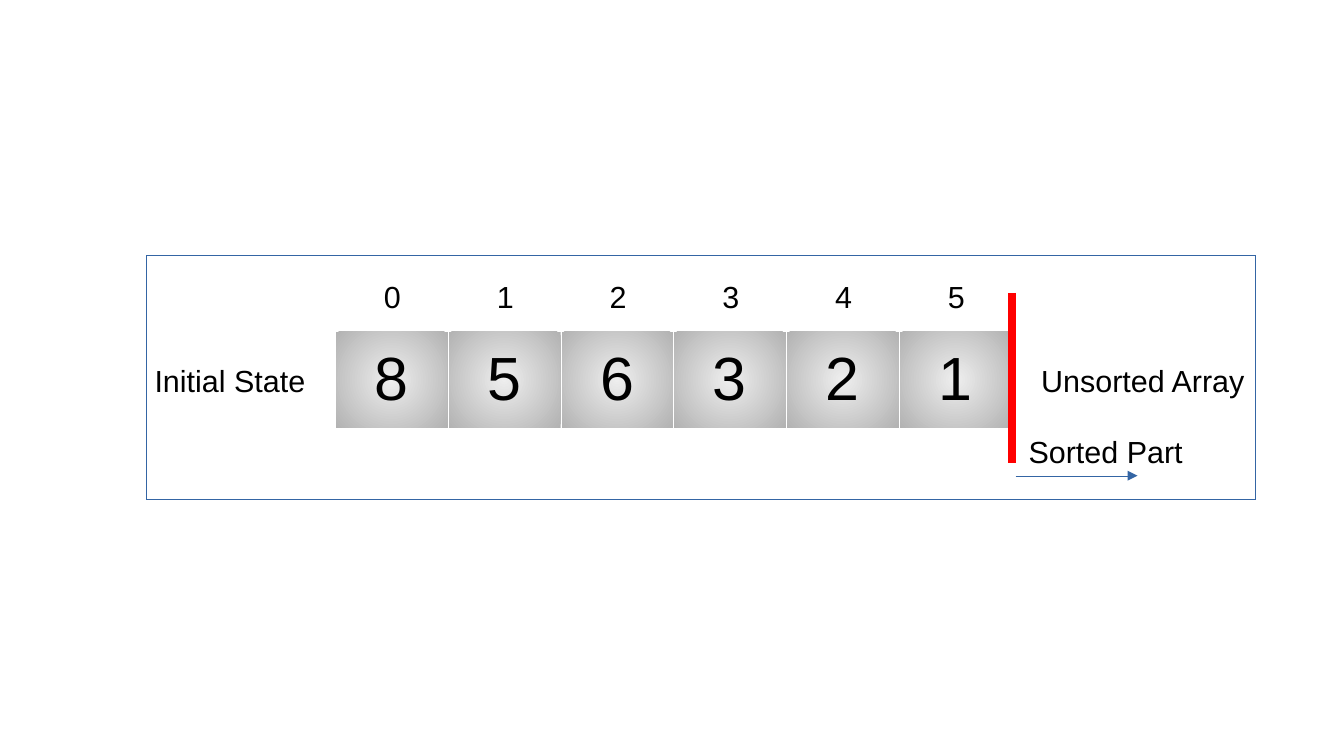
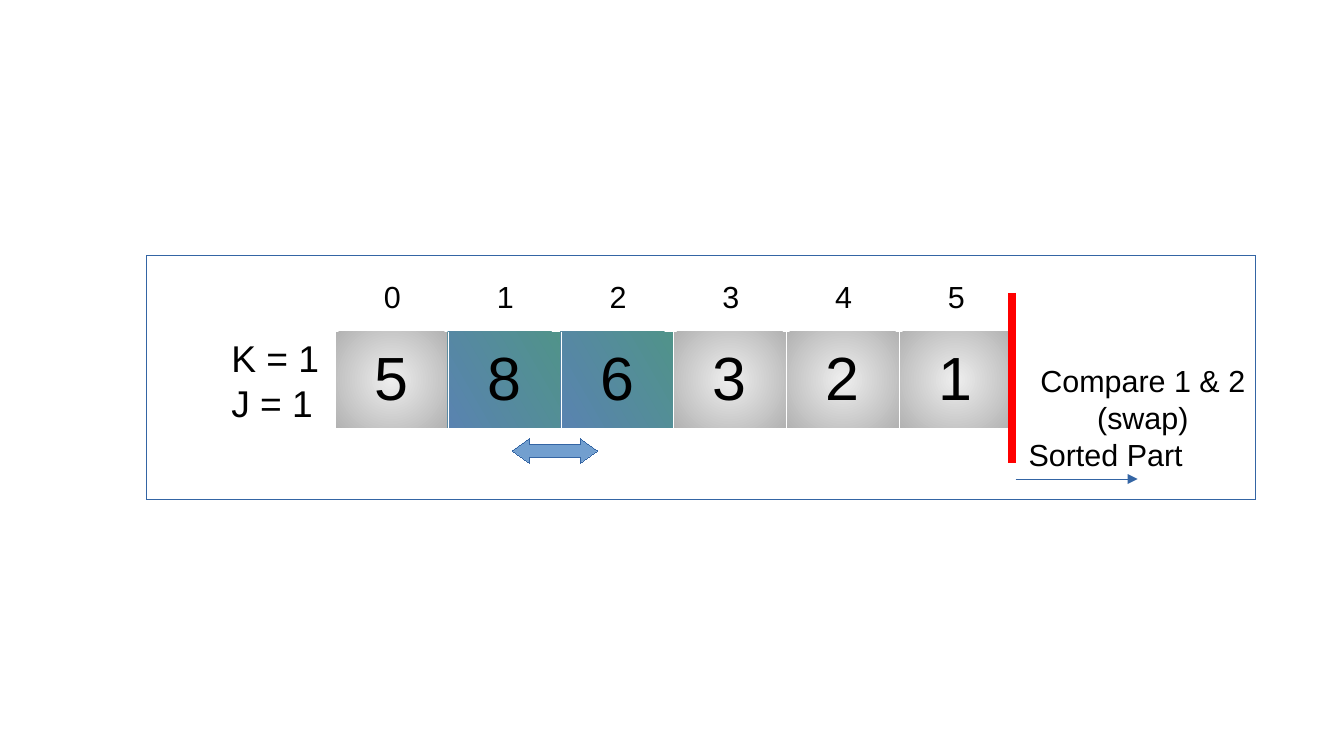
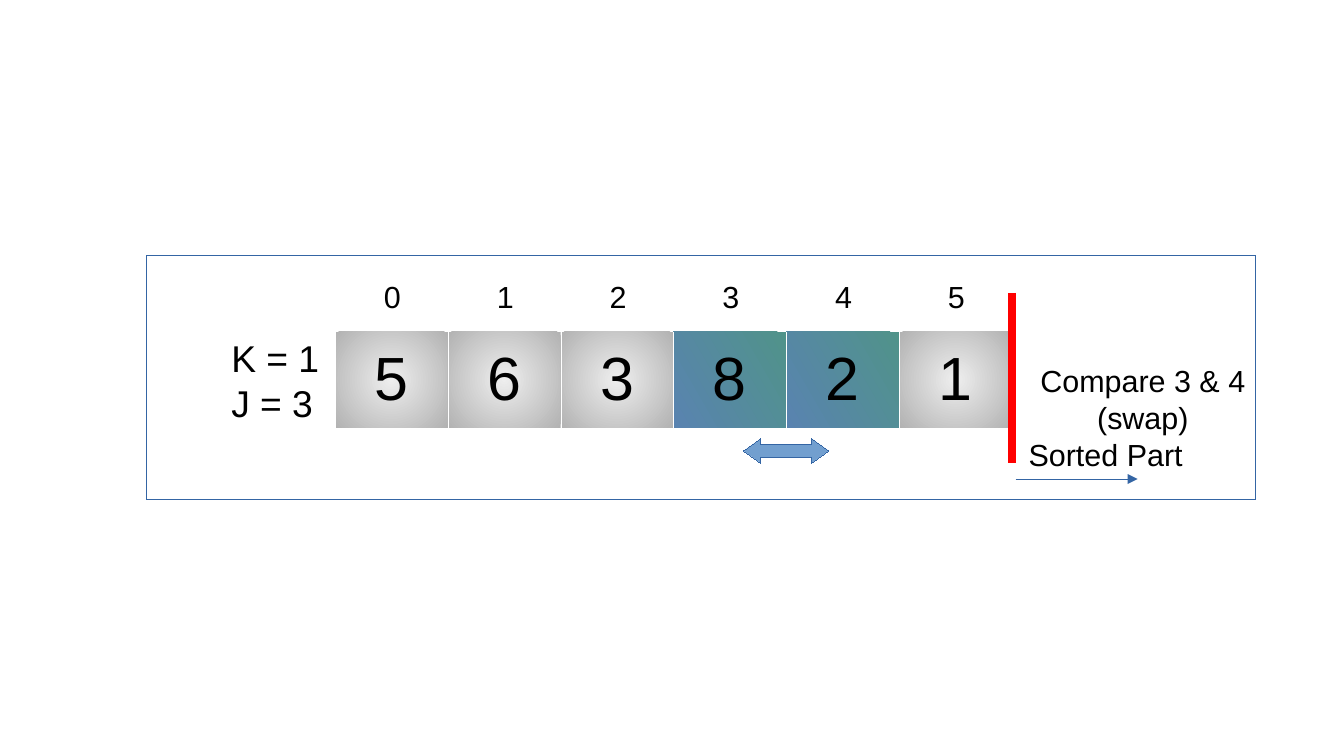
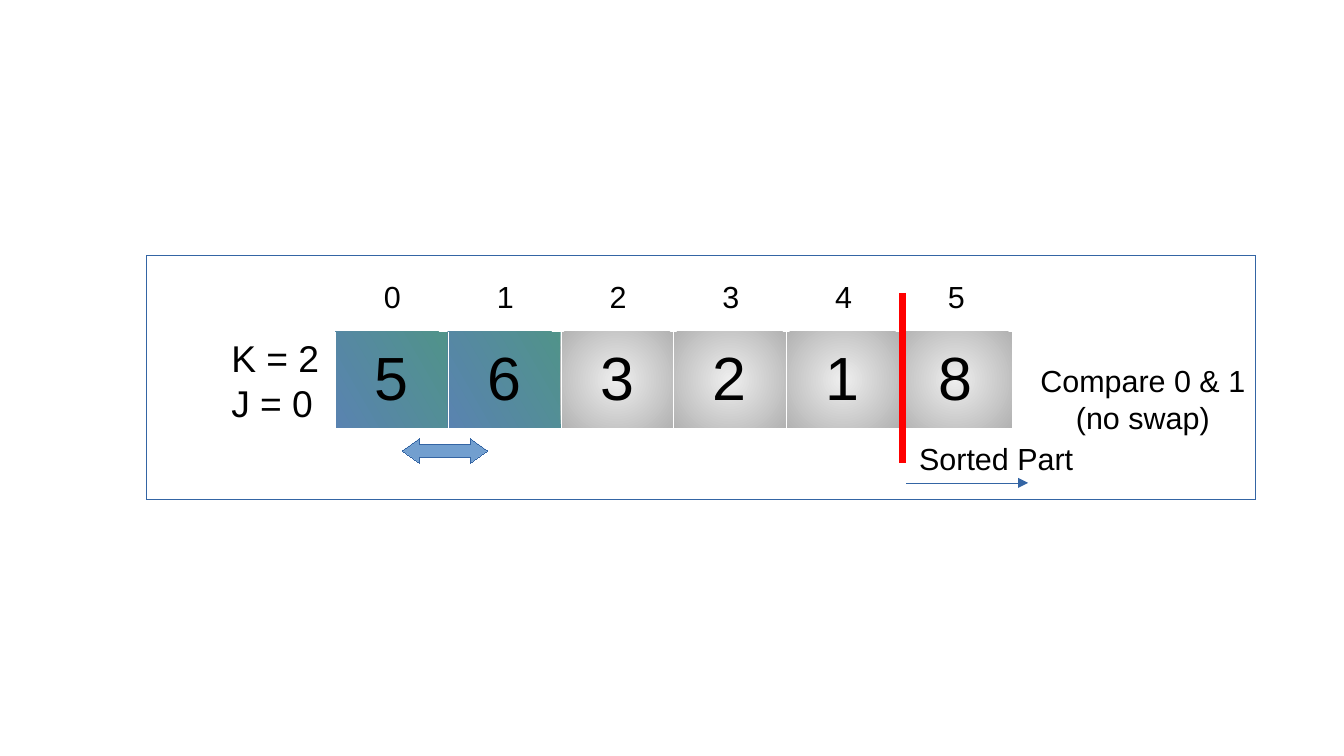
from dataclasses import dataclass

from pptx import Presentation
from pptx import util as u
from pptx.dml.color import RGBColor
from pptx.enum import shapes, text
from pptx.oxml import parse_xml
from pptx.oxml.ns import nsdecls, qn

Cm = u.Cm

# Shared look
FONT = "Arial"
BLACK = RGBColor(0x00, 0x00, 0x00)
WHITE = RGBColor(0xFF, 0xFF, 0xFF)
RED = RGBColor(0xFF, 0x00, 0x00)
BLUE_LINE = RGBColor(0x34, 0x65, 0xA4)
BLUE_FILL = RGBColor(0x72, 0x9F, 0xCF)
GREY_STOPS = (RGBColor(0xEE, 0xEE, 0xEE), RGBColor(0xB2, 0xB2, 0xB2))
ACTIVE_STOPS = (RGBColor(0x50, 0x93, 0x8A), RGBColor(0x59, 0x83, 0xB0))
PLAIN_TABLE_STYLE = "{2D5ABB26-0587-4C30-8999-92F81FD0307C}"
HAIRLINE = u.Pt(0)
CELL_WIDTH, CELL_HEIGHT = 2.35, 2.0


@dataclass(frozen=True)
class Step:
    """One state of the array during the sort; lengths in cm."""
    values: str
    state: tuple[str, ...]
    note: tuple[str, ...]
    bar_left: float
    pointer_top: float
    active: tuple[int, ...] = ()
    swap_left: float | None = None
    rows: int = 1


STEPS = [
    Step("856321", ("Initial State",), ("Unsorted Array",), 21.08, 9.91, rows=2),
    Step("586321", ("K = 1", "J = 1"), ("Compare 1 & 2", "(swap)"),
         21.08, 9.98, (1, 2), 10.67),
    Step("563821", ("K = 1", "J = 3"), ("Compare 3 & 4", "(swap)"),
         21.08, 9.98, (3, 4), 15.49),
    Step("563218", ("K = 2", "J = 0"), ("Compare 0 & 1", "(no swap)"),
         18.8, 10.06, (0, 1), 8.38),
]


def write(frame, lines, *, size: float, align=text.PP_ALIGN.LEFT) -> None:
    for number, line in enumerate(lines):
        para = frame.add_paragraph() if number else frame.paragraphs[0]
        para.alignment = align
        span = para.add_run()
        span.text = line
        span.font.name = FONT
        span.font.size = u.Pt(size)
        span.font.color.rgb = BLACK


def add_label(page, lines, left: float, top: float, width: float, height: float,
              *, size: float = 18, align=text.PP_ALIGN.LEFT) -> None:
    box = page.shapes.add_textbox(Cm(left), Cm(top), Cm(width), Cm(height))
    box.text_frame.word_wrap = False
    box.text_frame.auto_size = text.MSO_AUTO_SIZE.SHAPE_TO_FIT_TEXT
    write(box.text_frame, lines, size=size, align=align)


def set_line(line, color: RGBColor, width) -> None:
    line.color.rgb = color
    # A zero width must be written out, or the theme width applies
    line._get_or_add_ln().set("w", str(int(width)))


def add_block(page, kind, left: float, top: float, width: float, height: float,
              fill: RGBColor):
    block = page.shapes.add_shape(kind, Cm(left), Cm(top), Cm(width), Cm(height))
    block.shadow.inherit = False
    block.fill.solid()
    block.fill.fore_color.rgb = fill
    set_line(block.line, BLUE_LINE, HAIRLINE)
    return block


def add_line(page, start: tuple[float, float], end: tuple[float, float],
             color: RGBColor, width, arrow: bool = False) -> None:
    connector = page.shapes.add_connector(
        shapes.MSO_CONNECTOR.STRAIGHT, *map(Cm, start + end))
    set_line(connector.line, color, width)
    if arrow:
        connector.line._get_or_add_ln().append(
            parse_xml(f'<a:tailEnd {nsdecls("a")} type="triangle"/>'))
    connector._element.spPr.append(parse_xml(f'<a:effectLst {nsdecls("a")}/>'))


def add_grid(page, left: float, top: float, entries: str, *, size: float, anchor,
             rows: int = 1):
    """Add an unstyled table, fill its first row and return that row's cells."""
    table = page.shapes.add_table(
        rows, len(entries), Cm(left), Cm(top),
        Cm(CELL_WIDTH * len(entries)), Cm(CELL_HEIGHT * rows)).table
    table.first_row = table.horz_banding = False
    table._tbl.tblPr.find(qn("a:tableStyleId")).text = PLAIN_TABLE_STYLE
    for cell in table.iter_cells():
        cell.fill.background()
        cell.vertical_anchor = anchor
    cells = list(table.rows[0].cells)
    for cell, entry in zip(cells, entries):
        write(cell.text_frame, [entry], size=size, align=text.PP_ALIGN.CENTER)
    return cells


def shade(cell, active: bool) -> None:
    """Give a value cell its gradient and thin white side borders."""
    cell.fill.gradient()
    cell.fill.gradient_angle = 210
    for stop, color in zip(cell.fill.gradient_stops,
                           ACTIVE_STOPS if active else GREY_STOPS):
        stop.color.rgb = color
    properties = cell._tc.tcPr
    if not active:
        linear = properties.find(qn("a:gradFill")).find(qn("a:lin"))
        linear.getparent().replace(linear, parse_xml(
            f'<a:path {nsdecls("a")} path="circle">'
            '<a:fillToRect l="50000" t="50000" r="50000" b="50000"/></a:path>'))
    for position, side in enumerate(("lnL", "lnR")):
        properties.insert(position, parse_xml(
            f'<a:{side} {nsdecls("a")} w="{u.Pt(0.06)}"><a:solidFill>'
            f'<a:srgbClr val="{WHITE}"/></a:solidFill></a:{side}>'))


def draw_step(page, step: Step) -> None:
    add_block(page, shapes.MSO_SHAPE.RECTANGLE, 3.05, 5.33, 23.11, 5.08, WHITE)

    # Array values and side labels
    cells = add_grid(page, 6.98, 6.91, step.values, size=36,
                     anchor=text.MSO_ANCHOR.MIDDLE, rows=step.rows)
    for index, cell in enumerate(cells):
        shade(cell, index in step.active)
    if step.active:
        add_label(page, step.state, 4.57, 6.86, 2.4, 1.98, size=22)
    else:
        add_label(page, step.state, 2.97, 7.42, 3.8, 0.97)
    add_label(page, step.note, 21.31, 7.42, 5.0, 0.25 + 0.72 * len(step.note),
              align=text.PP_ALIGN.CENTER)

    # Array indexes
    add_grid(page, 7.0, 4.69, "012345", size=18, anchor=text.MSO_ANCHOR.BOTTOM)

    # Compared pair
    if step.swap_left is not None:
        arrow = add_block(page, shapes.MSO_SHAPE.LEFT_RIGHT_ARROW,
                          step.swap_left, 9.14, 1.78, 0.51, BLUE_FILL)
        arrow.adjustments[0] = 0.5
        arrow.adjustments[1] = 0.7

    # Border of the sorted part
    bar, top = step.bar_left, step.pointer_top
    add_line(page, (bar, 6.1), (bar, 9.65), RED, u.Pt(4.5))
    add_line(page, (bar + 0.08, top), (bar + 2.62, top), BLUE_LINE, HAIRLINE,
             arrow=True)
    add_label(page, ["Sorted Part"], bar + 0.1, top - 1.02, 3.9, 0.97)


def main() -> None:
    deck = Presentation()
    deck.slide_width, deck.slide_height = Cm(28), Cm(15.75)
    for step in STEPS:
        draw_step(deck.slides.add_slide(deck.slide_layouts[6]), step)
    deck.save("out.pptx")


if __name__ == "__main__":
    main()
